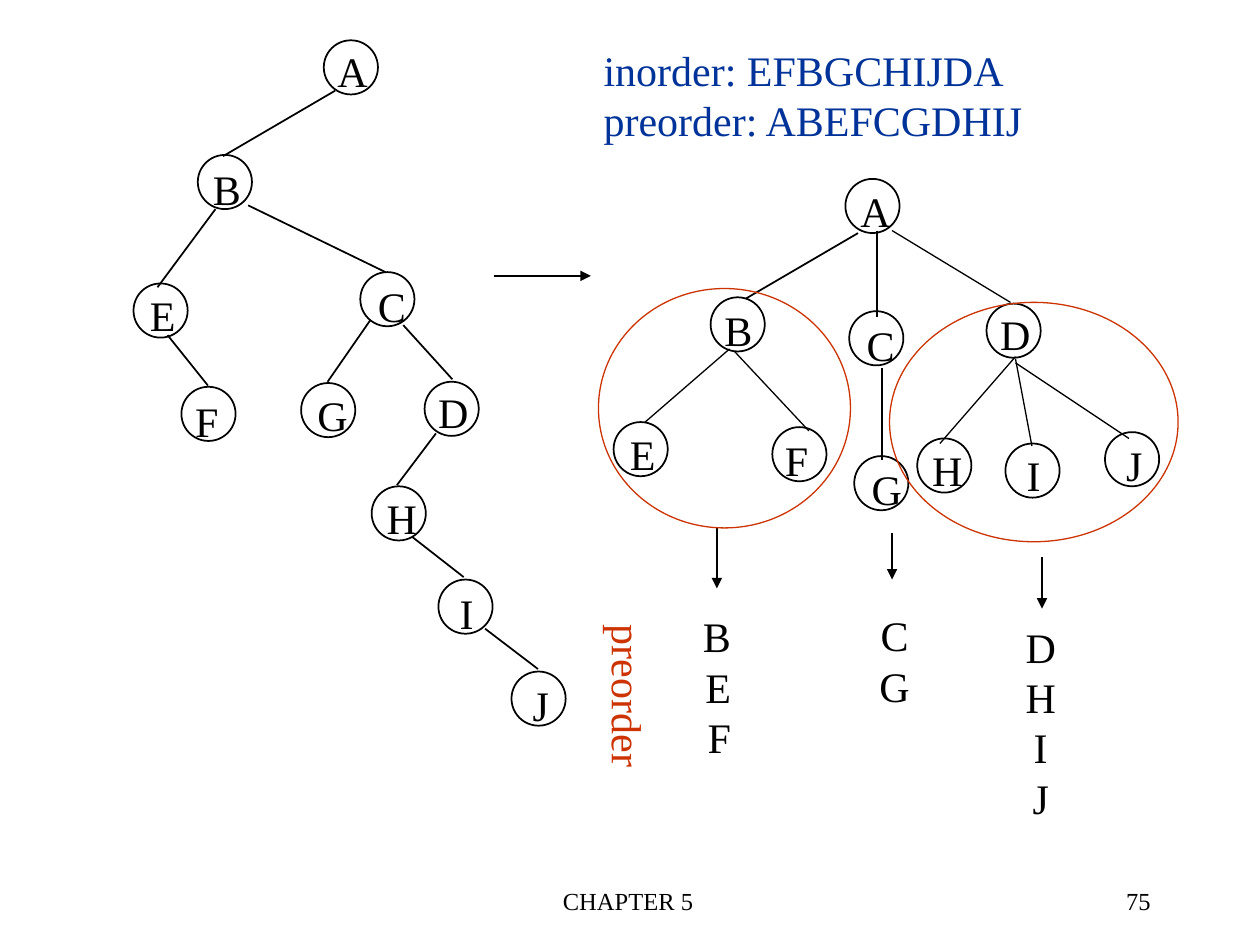
from pptx import Presentation, util as u
from pptx.dml.color import RGBColor
from pptx.enum import shapes, text
from pptx.oxml.ns import qn
from lxml import etree

BLACK = RGBColor(0x00, 0x00, 0x00)
BLUE = RGBColor(0x00, 0x33, 0x99)
RED = RGBColor(0xCC, 0x33, 0x00)
LEFT, MID, RIGHT = text.PP_ALIGN.LEFT, text.PP_ALIGN.CENTER, text.PP_ALIGN.RIGHT
DIAM = 0.43

deck = Presentation()
deck.slide_width, deck.slide_height = u.Inches(10), u.Inches(7.5)
slide = deck.slides.add_slide(deck.slide_layouts[5])
parts = slide.shapes


def write(box, words, color=BLACK, align=LEFT, size=24, wrap=False):
    frame = box.text_frame
    look = {
        "text": words,
        "word_wrap": wrap,
        "auto_size": text.MSO_AUTO_SIZE.NONE,
        "vertical_anchor": text.MSO_ANCHOR.TOP,
        "margin_left": u.Inches(0.1),
        "margin_right": u.Inches(0.1),
        "margin_top": u.Inches(0.05),
        "margin_bottom": u.Inches(0.05),
    }
    for key, value in look.items():
        setattr(frame, key, value)
    for para in frame.paragraphs:
        para.alignment = align
        para.line_spacing = u.Pt(size * 1.2)
        font = para.runs[0].font
        for key, value in {"name": "Times New Roman", "size": u.Pt(size)}.items():
            setattr(font, key, value)
        font.color.rgb = color


def ring(x, y, wide, high, color=BLACK, weight=1):
    oval = parts.add_shape(shapes.MSO_SHAPE.OVAL, *map(u.Inches, (x, y, wide, high)))
    oval.shadow.inherit = False
    oval.fill.background()
    oval.line.color.rgb = color
    oval.line.width = u.Pt(weight)


# Traversal orders as the heading
head = parts.title
place = {"left": 4.69, "top": 0.3, "width": 3.54, "height": 0.9}
for key, value in place.items():
    setattr(head, key, u.Inches(value))
write(head, "inorder: EFBGCHIJDA\npreorder: ABEFCGDHIJ", BLUE)

# Tree nodes: letter, circle left and top, letter box left and top
wide = {"B": 0.42, "C": 0.42, "E": 0.41, "F": 0.39, "I": 0.31, "J": 0.33}
binary = [
    ("A", 2.57, 0.32, 2.58, 0.31), ("B", 1.57, 1.23, 1.59, 1.25),
    ("C", 2.86, 2.16, 2.9, 2.18), ("D", 3.37, 3.03, 3.38, 3.02),
    ("E", 1.06, 2.25, 1.09, 2.25), ("F", 1.44, 3.07, 1.45, 3.09),
    ("G", 2.39, 3.04, 2.42, 3.04), ("H", 2.95, 3.86, 2.97, 3.86),
    ("I", 3.48, 4.6, 3.55, 4.61), ("J", 4.06, 5.33, 4.13, 5.34),
]
general = [
    ("A", 6.71, 1.42, 6.73, 1.42), ("B", 5.64, 2.36, 5.65, 2.37),
    ("C", 6.74, 2.47, 6.78, 2.49), ("D", 7.83, 2.41, 7.84, 2.4),
    ("E", 4.87, 3.35, 4.9, 3.35), ("F", 6.13, 3.39, 6.13, 3.4),
    ("G", 6.78, 3.62, 6.82, 3.63), ("H", 7.28, 3.48, 7.3, 3.48),
    ("I", 7.98, 3.52, 8.05, 3.52), ("J", 8.77, 3.43, 8.84, 3.44),
]
for name, x, y, left, top in binary + general:
    ring(x, y, DIAM, DIAM)
    spot = (left, top, wide.get(name, 0.44), 0.5)
    write(parts.add_textbox(*map(u.Inches, spot)), name)

# Tree edges and arrows: from x, y to x, y
bold = [
    (2.66, 0.72, 1.77, 1.24), (1.97, 1.63, 3.06, 2.16), (1.71, 1.66, 1.25, 2.28),
    (1.33, 2.66, 1.65, 3.06), (2.94, 2.54, 2.6, 3.03), (3.2, 2.58, 3.59, 3.01),
    (3.46, 3.44, 3.15, 3.85), (3.27, 4.26, 3.68, 4.58), (3.85, 4.99, 4.27, 5.31),
    (6.81, 1.85, 5.92, 2.37),
]
thin = [
    (6.96, 1.83, 6.96, 2.52), (7.08, 1.83, 8.02, 2.4), (5.79, 2.77, 5.12, 3.35),
    (5.83, 2.79, 6.42, 3.42), (7, 2.92, 7, 3.65), (8.06, 2.83, 7.46, 3.52),
    (8.06, 2.85, 8.19, 3.54), (8.06, 2.88, 8.96, 3.48),
]
arrows = [
    (3.92, 2.19, 4.69, 2.19), (5.69, 4.19, 5.69, 4.67),
    (7.08, 4.23, 7.08, 4.6), (8.27, 4.42, 8.27, 4.83),
]
for group, weight in ((bold, 1), (thin, 0.75), (arrows, 0.75)):
    for ends in group:
        edge = parts.add_connector(shapes.MSO_CONNECTOR.STRAIGHT, *map(u.Inches, ends))
        edge.line.color.rgb = BLACK
        edge.line.width = u.Pt(weight)
        props = edge.element.spPr
        if group is arrows:
            etree.SubElement(props.find(qn("a:ln")), qn("a:tailEnd"), type="triangle")
        etree.SubElement(props, qn("a:effectLst"))

# Rings around the subtrees
ring(4.75, 2.29, 2, 1.9, RED, 0.75)
ring(7.06, 2.4, 2.29, 1.9, RED, 0.75)

# Preorder lists and footer
labels = [
    ("B\nE\nF", (5.48, 4.8, 0.42, 1.3), RIGHT, 24),
    ("C\nG", (6.88, 4.79, 0.44, 0.9), MID, 24),
    ("D\nH\nI\nJ", (8.04, 4.88, 0.44, 1.7), MID, 24),
    ("CHAPTER 5", (3.4, 6.98, 3.17, 0.5), MID, 14),
    ("75", (7.15, 6.98, 2.08, 0.5), RIGHT, 14),
]
for words, spot, align, size in labels:
    write(parts.add_textbox(*map(u.Inches, spot)), words, BLACK, align, size, size == 14)

# Vertical caption
side = parts.add_textbox(*map(u.Inches, (4.64, 4.86, 0.6, 1.23)))
write(side, "preorder", RED)
for key, value in {"left": 0.05, "right": 0.05, "top": 0.1, "bottom": 0.1}.items():
    setattr(side.text_frame, "margin_" + key, u.Inches(value))
side.element.txBody.bodyPr.set("vert", "eaVert")

deck.save("out.pptx")
